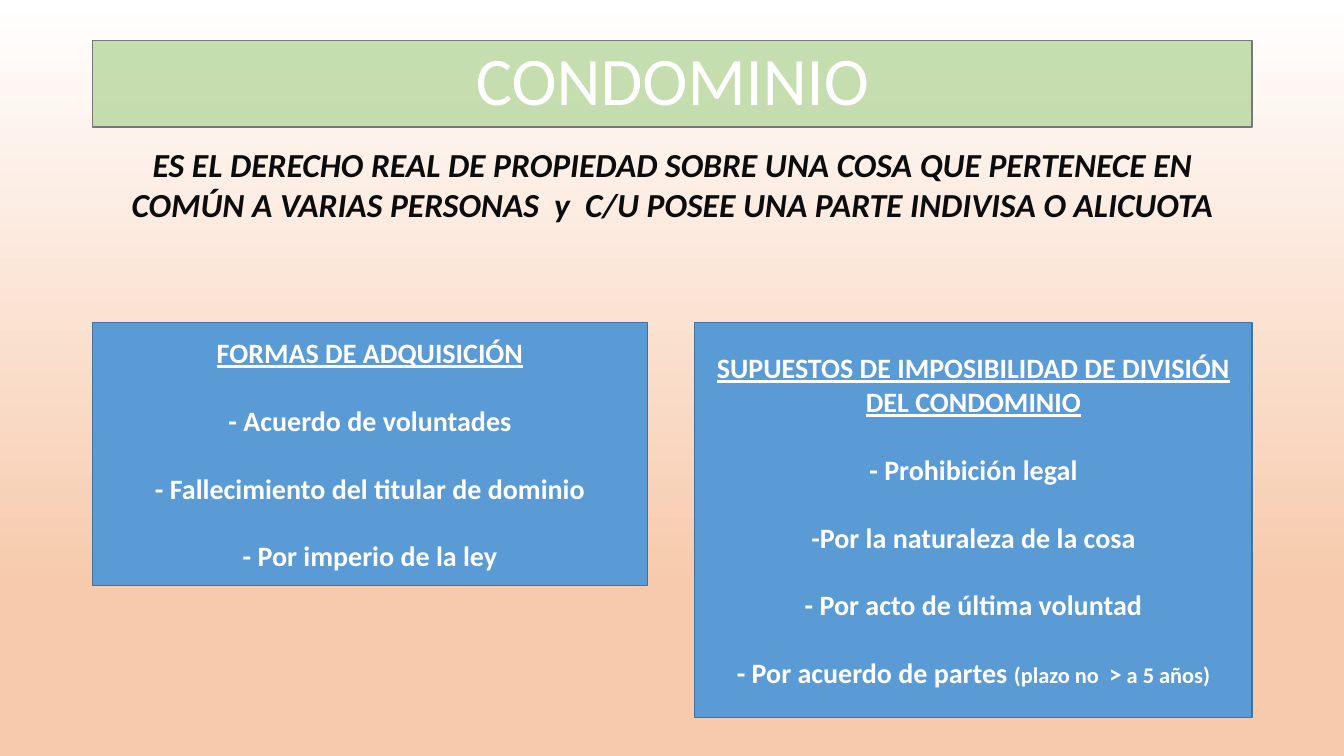
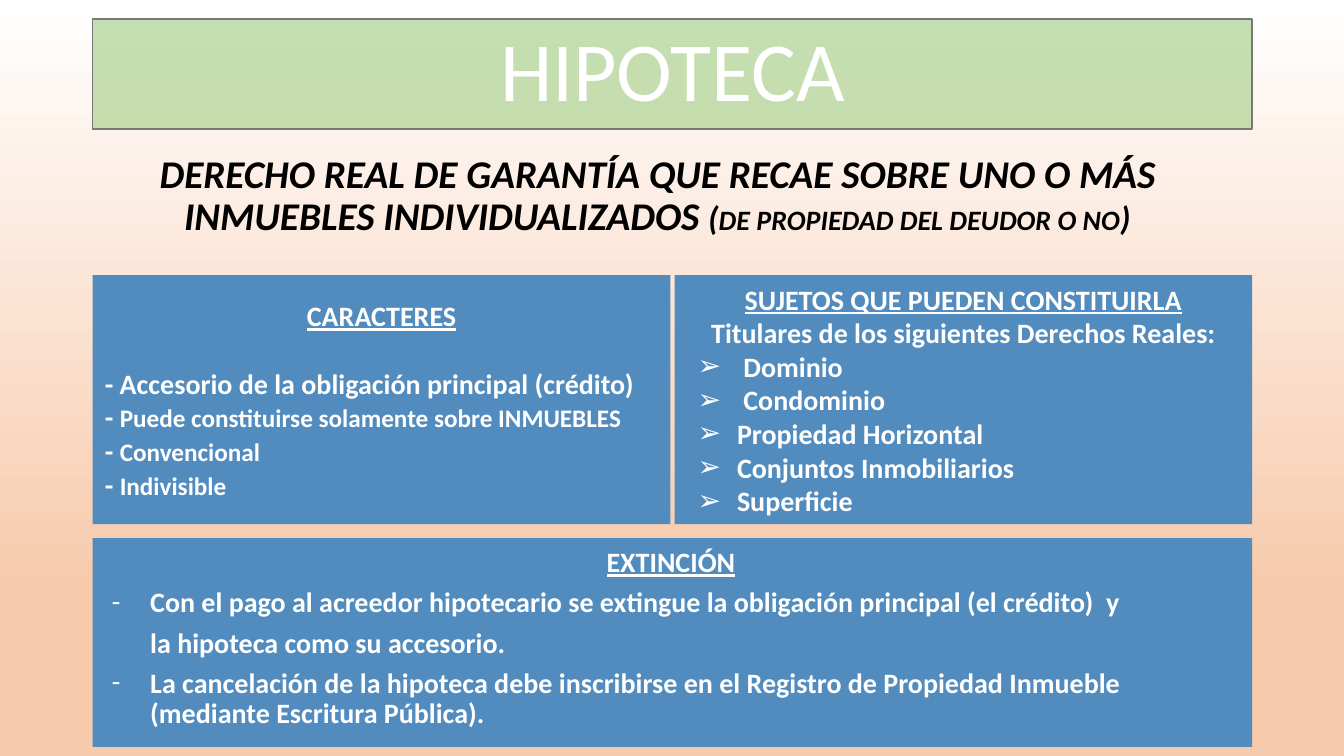
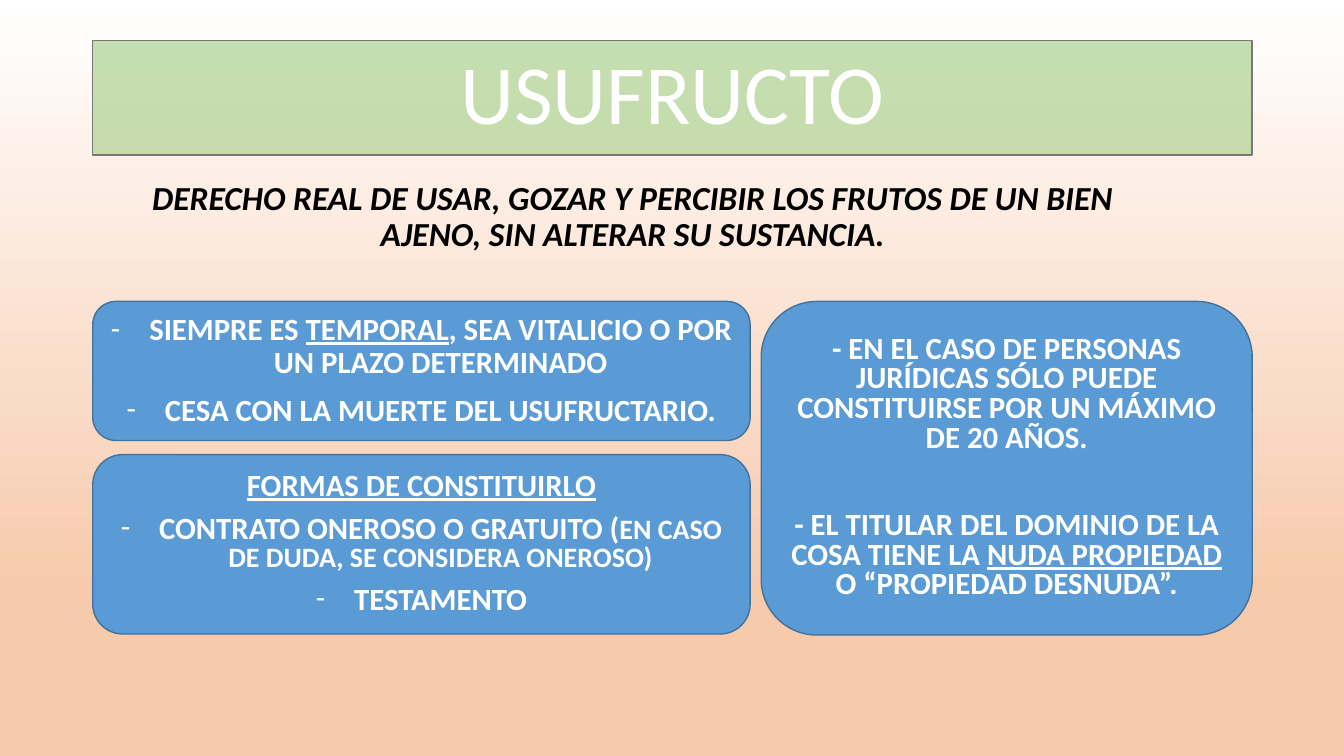
from lxml.etree import SubElement
from pptx import Presentation
from pptx.dml.color import RGBColor
from pptx.enum.shapes import MSO_SHAPE
from pptx.enum.text import MSO_ANCHOR, PP_ALIGN
from pptx.oxml.ns import qn
from pptx.util import Inches, Pt

COLORS = {
    "white": "FFFFFF", "peach": "F7CAAC", "green": "A8D08C", "gray": "787878",
    "blue": "5B9BD5", "navy": "42719B", "steel": "528CBE",
    "ink": "0C0C0C", "black": "000000",
}
FONT = "Calibri"
LEFT, WIDTH = 0.92, 11.5
LINE_HEIGHT = 1.22  # single line of the font, as a share of its size
UNDERLINED = {"underline": True}
DEFINITION = {"bold": True, "italic": True}


def rgb(name):
    return RGBColor.from_string(COLORS[name])


def set_attributes(target, values):
    for name, value in values.items():
        setattr(target, name, value)


# Text
def item(*runs, bullet=None, indent=0, hanging=0, **formats):
    """Describe a paragraph; a run is a string or (string, font values)."""
    return {"runs": runs, "bullet": bullet, "indent": indent,
            "hanging": hanging, "formats": formats}


def heading(text, **formats):
    return item((text, UNDERLINED), **formats)


def set_indent(paragraph, entry):
    properties = paragraph._p.get_or_add_pPr()
    properties.set("marL", str(Inches(entry["indent"])))
    properties.set("indent", str(-Inches(entry["hanging"])))
    if entry["bullet"]:
        color = SubElement(properties, qn("a:buClr"))
        SubElement(color, qn("a:srgbClr"), val=COLORS["white"])
        SubElement(properties, qn("a:buFont"), typeface=FONT)
        SubElement(properties, qn("a:buChar"), char=entry["bullet"])


def write_text(shape, entries, color, font, formats, insets, anchor):
    frame = shape.text_frame
    sides = ("margin_left", "margin_top", "margin_right", "margin_bottom")
    set_attributes(frame, {"word_wrap": True, "vertical_anchor": anchor})
    set_attributes(frame, dict(zip(sides, map(Inches, insets))))
    for index, entry in enumerate(entries):
        paragraph = frame.add_paragraph() if index else frame.paragraphs[0]
        set_attributes(paragraph, {"alignment": PP_ALIGN.CENTER, **formats, **entry["formats"]})
        set_indent(paragraph, entry)
        for part in entry["runs"]:
            text, changes = (part, {}) if isinstance(part, str) else part
            run = paragraph.add_run()
            run.text = text
            set_attributes(run.font, {"name": FONT, **font, **changes})
            run.font.color.rgb = rgb(color)


# Elements
def add_panel(slide, box, entries, size=20, fill="blue", line="navy", bold=True,
              kind=MSO_SHAPE.RECTANGLE, insets=(0.1, 0.05, 0.1, 0.05), **formats):
    shape = slide.shapes.add_shape(kind, *map(Inches, box))
    shape.shadow.inherit = False
    shape.fill.solid()
    shape.fill.fore_color.rgb = rgb(fill)
    if line:
        shape.line.color.rgb = rgb(line)
        shape.line.width = Pt(1)
    else:
        shape.line.fill.background()
    write_text(shape, entries, "white", {"size": Pt(size), "bold": bold},
               formats, insets, MSO_ANCHOR.MIDDLE)
    return shape


def add_title(slide, text, top, height, size):
    band = add_panel(slide, (LEFT, top, WIDTH, height), [item(text)], size,
                     "green", "gray", bold=False, line_spacing=0.9)
    color = band.fill._xPr.find(qn("a:solidFill")).find(qn("a:srgbClr"))
    SubElement(color, qn("a:alpha"), val="66000")


def add_definition(slide, box, runs, size=24, color="black", inset=0.1, **formats):
    shape = slide.shapes.add_textbox(*map(Inches, box))
    write_text(shape, [item(*runs)], color, {"size": Pt(size), **DEFINITION},
               formats, (0.1, inset, 0.1, inset), MSO_ANCHOR.TOP)


def set_background(presentation):
    fill = presentation.slide_master.background.fill
    fill.gradient()
    fill.gradient_angle = 270
    for stop, color, position in zip(fill.gradient_stops, ("white", "peach"), (0, 0.78)):
        stop.color.rgb = rgb(color)
        stop.position = position


# Slides
def build_condominio(slide):
    add_title(slide, "CONDOMINIO", 0.4, 0.86, 48.6)
    add_definition(slide, (LEFT, 1.38, WIDTH, 0.91), [
        "ES EL DERECHO REAL DE PROPIEDAD SOBRE UNA COSA QUE PERTENECE EN COMÚN "
        "A VARIAS PERSONAS  y  C/U POSEE UNA PARTE INDIVISA O ALICUOTA",
    ], color="ink", inset=0.05)
    gap = {"space_before": Pt(20 * LINE_HEIGHT)}
    small = {"size": Pt(16)}
    add_panel(slide, (LEFT, 3.2, 5.5, 2.61), [
        heading("FORMAS DE ADQUISICIÓN"),
        item("- Acuerdo de voluntades", **gap),
        item("- Fallecimiento del titular de dominio", **gap),
        item("- Por imperio de la ley", **gap),
    ])
    add_panel(slide, (6.89, 3.2, 5.53, 3.92), [
        heading("SUPUESTOS DE IMPOSIBILIDAD DE DIVISIÓN DEL CONDOMINIO"),
        item("- Prohibición legal", **gap),
        item("-Por la naturaleza de la cosa", **gap),
        item("- Por acto de última voluntad", **gap),
        item("- Por acuerdo de partes ", ("(plazo no  ", small), (">", {"size": Pt(18)}),
             (" a 5 años)", small), **gap),
    ])


def build_hipoteca(slide):
    add_title(slide, "HIPOTECA", 0.19, 1.09, 60)
    add_definition(slide, (1.07, 1.43, 10.9, 0.94), [
        "DERECHO REAL DE GARANTÍA QUE RECAE SOBRE UNO O MÁS INMUEBLES INDIVIDUALIZADOS ",
        ("(", {"size": Pt(24)}),
        ("DE PROPIEDAD DEL DEUDOR O NO", {"size": Pt(20)}),
        (")", {"size": Pt(24)}),
    ], size=28, line_spacing=0.9)
    flat = {"fill": "steel", "line": None}
    left = {"alignment": PP_ALIGN.LEFT}
    traits = ("Puede constituirse solamente sobre INMUEBLES", "Convencional", "Indivisible")
    rights = (" Dominio", " Condominio", "Propiedad Horizontal",
              "Conjuntos Inmobiliarios", "Superficie")
    panel_width, gutter = 5.73, 0.04
    add_panel(slide, (LEFT, 2.73, panel_width, 2.47), [
        heading("CARACTERES"),
        item("- Accesorio de la obligación principal (crédito)",
             space_before=Pt(20 * LINE_HEIGHT), **left),
        *[item("- ", (trait, {"size": Pt(18)}), **left) for trait in traits],
    ], insets=(0.12,) * 4, **flat)
    add_panel(slide, (LEFT + panel_width + gutter, 2.73, panel_width, 2.47), [
        heading("SUJETOS QUE PUEDEN CONSTITUIRLA"),
        item("Titulares de los siguientes Derechos Reales:"),
        *[item(right, bullet="➢", indent=0.5, hanging=0.39, **left) for right in rights],
    ], insets=(0.12,) * 4, **flat)
    spaced = {"indent": 0.38, "space_before": Pt(7), **left}
    dashed = {"bullet": "-", "hanging": 0.38, **spaced}
    add_panel(slide, (LEFT, 5.34, WIDTH, 2.07), [
        heading("EXTINCIÓN"),
        item("Con el pago al acreedor hipotecario se extingue la obligación "
             "principal (el crédito)  y", **dashed),
        item("la hipoteca como su accesorio.", **spaced),
        item("La cancelación de la hipoteca debe inscribirse en el Registro de "
             "Propiedad Inmueble (mediante Escritura Pública).", **dashed),
    ], insets=(0.19, 0.05, 0.22, 0.12), line_spacing=0.9, **flat)


def build_usufructo(slide):
    add_title(slide, "USUFRUCTO", 0.4, 1.14, 60)
    add_definition(slide, (1.02, 1.7, 10.51, 0.9), [
        "DERECHO REAL DE USAR, GOZAR Y PERCIBIR LOS FRUTOS DE UN BIEN AJENO, "
        "SIN ALTERAR SU SUSTANCIA.",
    ], line_spacing=0.9)
    rounded = {"size": 22, "kind": MSO_SHAPE.ROUNDED_RECTANGLE}
    dashed = {"bullet": "-", "indent": 0.38, "hanging": 0.38}
    gap = {"space_before": Pt(10)}
    add_panel(slide, (7.55, 2.99, 4.87, 3.31), [
        item("- EN EL CASO DE PERSONAS JURÍDICAS SÓLO PUEDE CONSTITUIRSE "
             "POR UN MÁXIMO DE 20 AÑOS."),
        item("- EL TITULAR DEL DOMINIO DE LA COSA TIENE LA ", ("NUDA PROPIEDAD", UNDERLINED),
             " O “PROPIEDAD DESNUDA”.", space_before=Pt(20 + 22 * LINE_HEIGHT * 0.8)),
    ], line_spacing=0.8, **rounded)
    add_panel(slide, (LEFT, 2.99, 6.52, 1.38), [
        item("SIEMPRE ES ", ("TEMPORAL", UNDERLINED),
             ", SEA VITALICIO O POR UN PLAZO DETERMINADO", **dashed),
        item("CESA CON LA MUERTE DEL USUFRUCTARIO.", **dashed, **gap),
    ], line_spacing=0.9, **rounded)
    add_panel(slide, (LEFT, 4.51, 6.52, 1.78), [
        heading("FORMAS DE CONSTITUIRLO"),
        item("CONTRATO ONEROSO O GRATUITO (",
             ("EN CASO DE DUDA, SE CONSIDERA ONEROSO)", {"size": Pt(20)}), **dashed, **gap),
        item("TESTAMENTO", **dashed, **gap),
    ], line_spacing=0.8, **rounded)


def main():
    presentation = Presentation()
    presentation.slide_width = Inches(13.33)
    presentation.slide_height = Inches(7.5)
    set_background(presentation)
    blank = presentation.slide_layouts[6]
    for build in (build_condominio, build_hipoteca, build_usufructo):
        build(presentation.slides.add_slide(blank))
    presentation.save("out.pptx")


if __name__ == "__main__":
    main()
